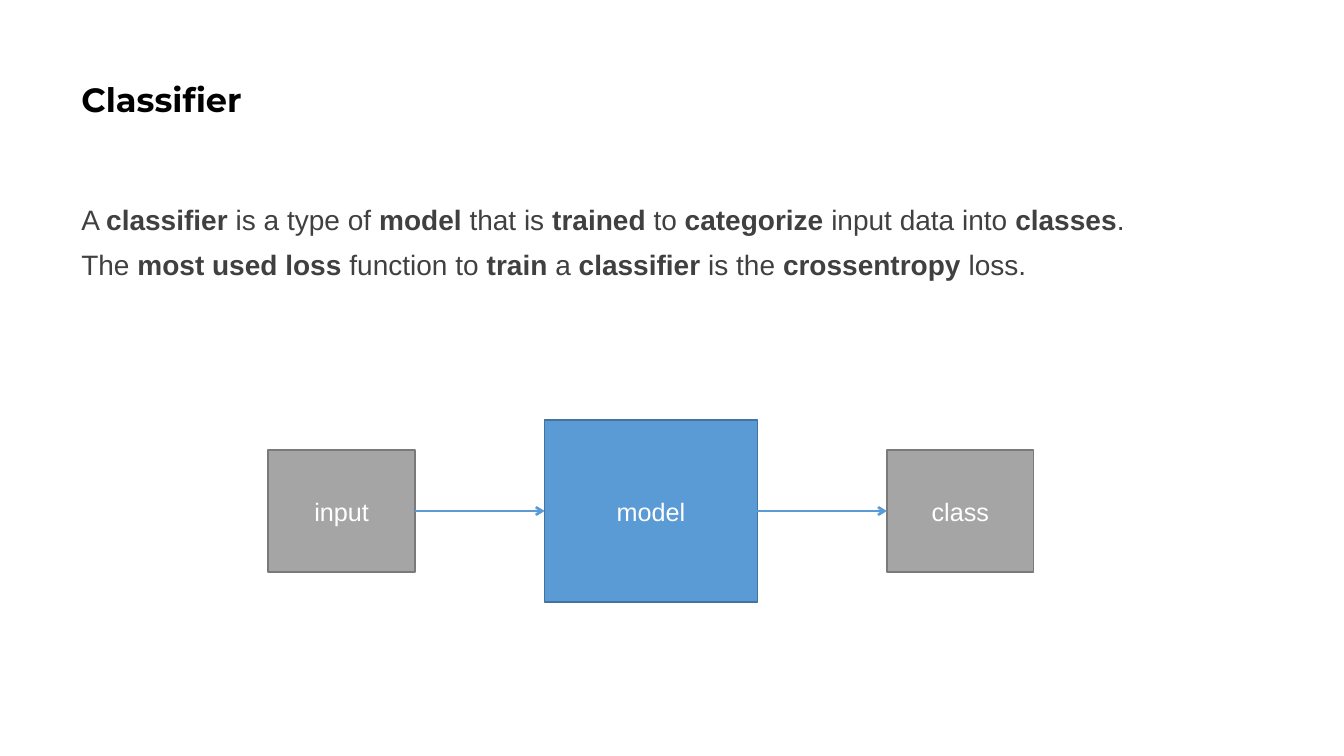
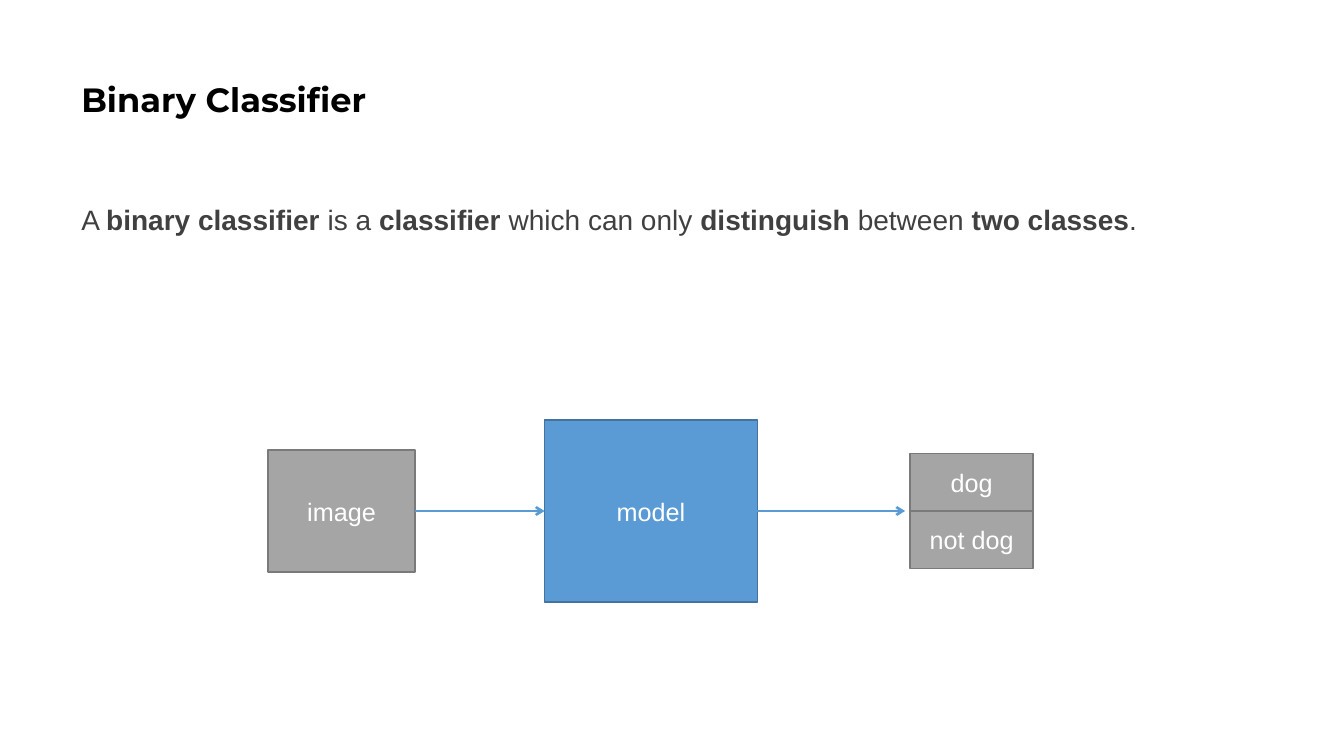
from pptx import Presentation
from pptx.dml.color import RGBColor
from pptx.enum import shapes, text
from pptx.oxml import ns
from pptx.util import Pt
from lxml import etree

BLACK = RGBColor(0x00, 0x00, 0x00)
DARK = RGBColor(0x40, 0x40, 0x40)
WHITE = RGBColor(0xFF, 0xFF, 0xFF)
GRAY = RGBColor(0xA5, 0xA5, 0xA5)
EDGE = RGBColor(0x7A, 0x7A, 0x7A)
BLUE = RGBColor(0x5B, 0x9B, 0xD5)
NAVY = RGBColor(0x43, 0x73, 0x9E)

LEFT, WIDE = 51, 828
MID = 365  # height of the row of boxes and arrows

# title, height of the body, lines (bold between asterisks), input, outputs
PAGES = [
    ("Classifier", 98, [
        "A *classifier *is a type of *model *that is *trained *to "
        "*categorize *input data into *classes*.",
        "The *most used loss *function to *train *a *classifier *is the "
        "*crossentropy *loss.",
    ], "input", ["class"]),
    ("Binary Classifier", 343, [
        "A *binary classifier* is a *classifier *which can only "
        "*distinguish *between *two classes*.",
    ], "image", ["dog", "not dog"]),
]


def box(slide, label, left, top, width, height, fill=GRAY, edge=EDGE):
    rect = slide.shapes.add_shape(shapes.MSO_SHAPE.RECTANGLE, Pt(left),
                                  Pt(top), Pt(width), Pt(height))
    rect.shadow.inherit = False
    rect.fill.solid()
    rect.fill.fore_color.rgb = fill
    rect.line.color.rgb = edge
    rect.line.width = Pt(1)
    rect.text_frame.vertical_anchor = text.MSO_ANCHOR.MIDDLE
    para = rect.text_frame.paragraphs[0]
    para.text = label
    para.alignment = text.PP_ALIGN.CENTER
    para.font.name = "Arial"
    para.font.size = Pt(18)
    para.font.color.rgb = WHITE
    return rect


def arrow(slide, start, goal=None, end=0):
    """Point from the right side of start to goal's left side, or to x = end."""
    line = slide.shapes.add_connector(shapes.MSO_CONNECTOR.STRAIGHT,
                                      Pt(0), Pt(MID), Pt(end), Pt(MID))
    line.begin_connect(start, 3)
    if goal is not None:
        line.end_connect(goal, 1)
    line.line.color.rgb = BLUE
    line.line.width = Pt(1.75)
    stroke = line.line._get_or_add_ln()
    etree.SubElement(stroke, ns.qn("a:tailEnd"), type="arrow")
    etree.SubElement(line._element.spPr, ns.qn("a:effectLst"))


prs = Presentation()
prs.slide_width, prs.slide_height = Pt(960), Pt(540)

for title, height, lines, source, results in PAGES:
    slide = prs.slides.add_slide(prs.slide_layouts[6])

    head = slide.shapes.add_textbox(Pt(LEFT), Pt(20), Pt(WIDE), Pt(104.4))
    frame = head.text_frame
    frame.word_wrap = True
    frame.vertical_anchor = text.MSO_ANCHOR.MIDDLE
    para = frame.paragraphs[0]
    para.text = title
    para.line_spacing = 0.9
    para.font.name = "Montserrat"
    para.font.size = Pt(24)
    para.font.bold = True
    para.font.color.rgb = BLACK

    body = slide.shapes.add_textbox(Pt(LEFT), Pt(144), Pt(WIDE), Pt(height))
    frame = body.text_frame
    frame.word_wrap = True
    for i, line in enumerate(lines):
        para = frame.add_paragraph() if i else frame.paragraphs[0]
        para.line_spacing = 0.9
        if i:
            para.space_before = Pt(10)
        para.font.name = "Arial"
        para.font.size = Pt(20)
        para.font.color.rgb = DARK
        for j, part in enumerate(line.split("*")):
            run = para.add_run()
            run.text = part
            if j % 2:
                run.font.bold = True

    first = box(slide, source, 191.5, MID - 43.5, 105, 87)
    model = box(slide, "model", 389, MID - 65, 152, 130, BLUE, NAVY)
    arrow(slide, first, model)
    if len(results) == 1:
        last = box(slide, results[0], 633.5, MID - 43.5, 105, 87)
        arrow(slide, model, last)
    else:
        for i, label in enumerate(results):
            box(slide, label, 650, MID + 41 * (i - len(results) / 2), 88, 41)
        arrow(slide, model, end=646.5)

prs.save("out.pptx")
